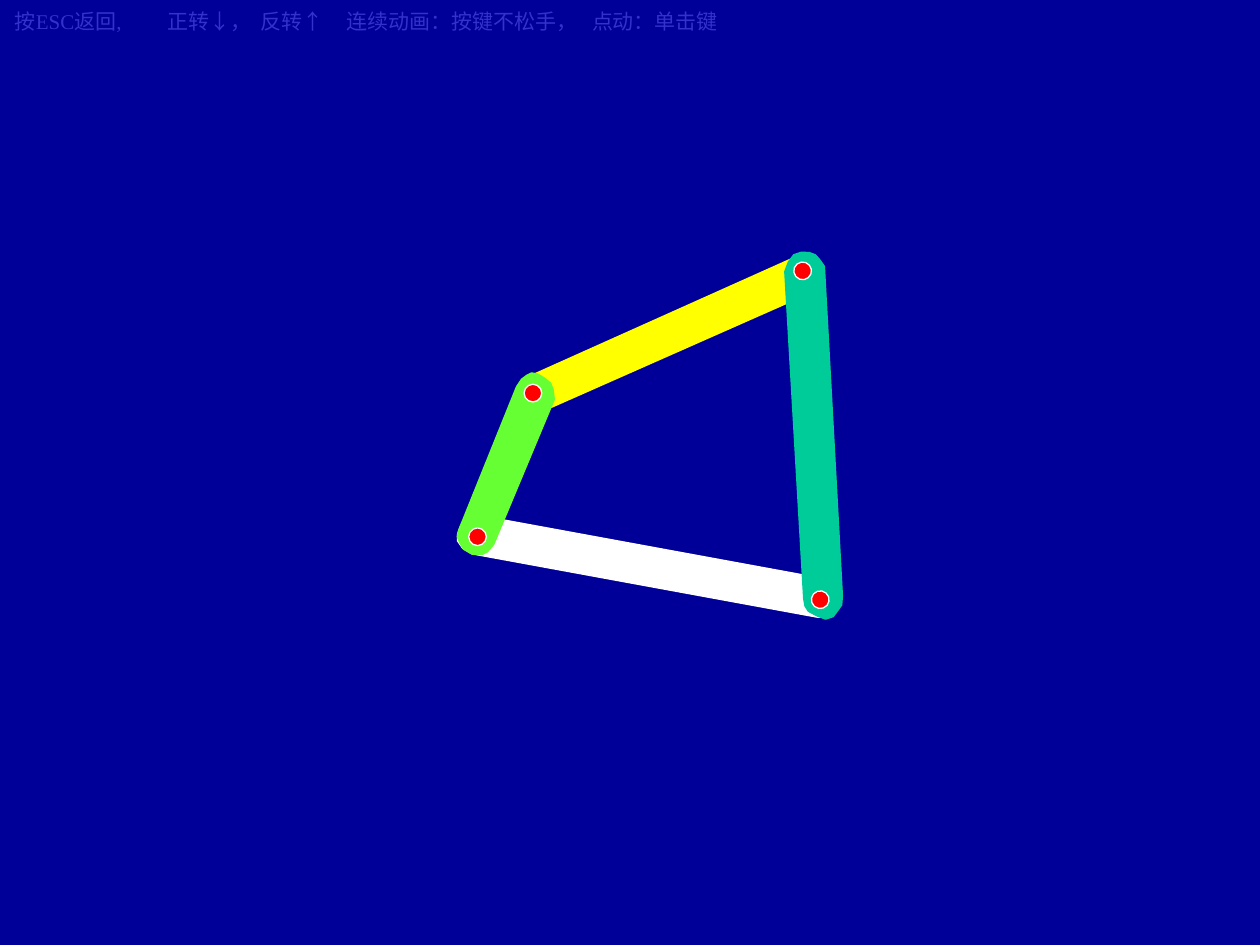
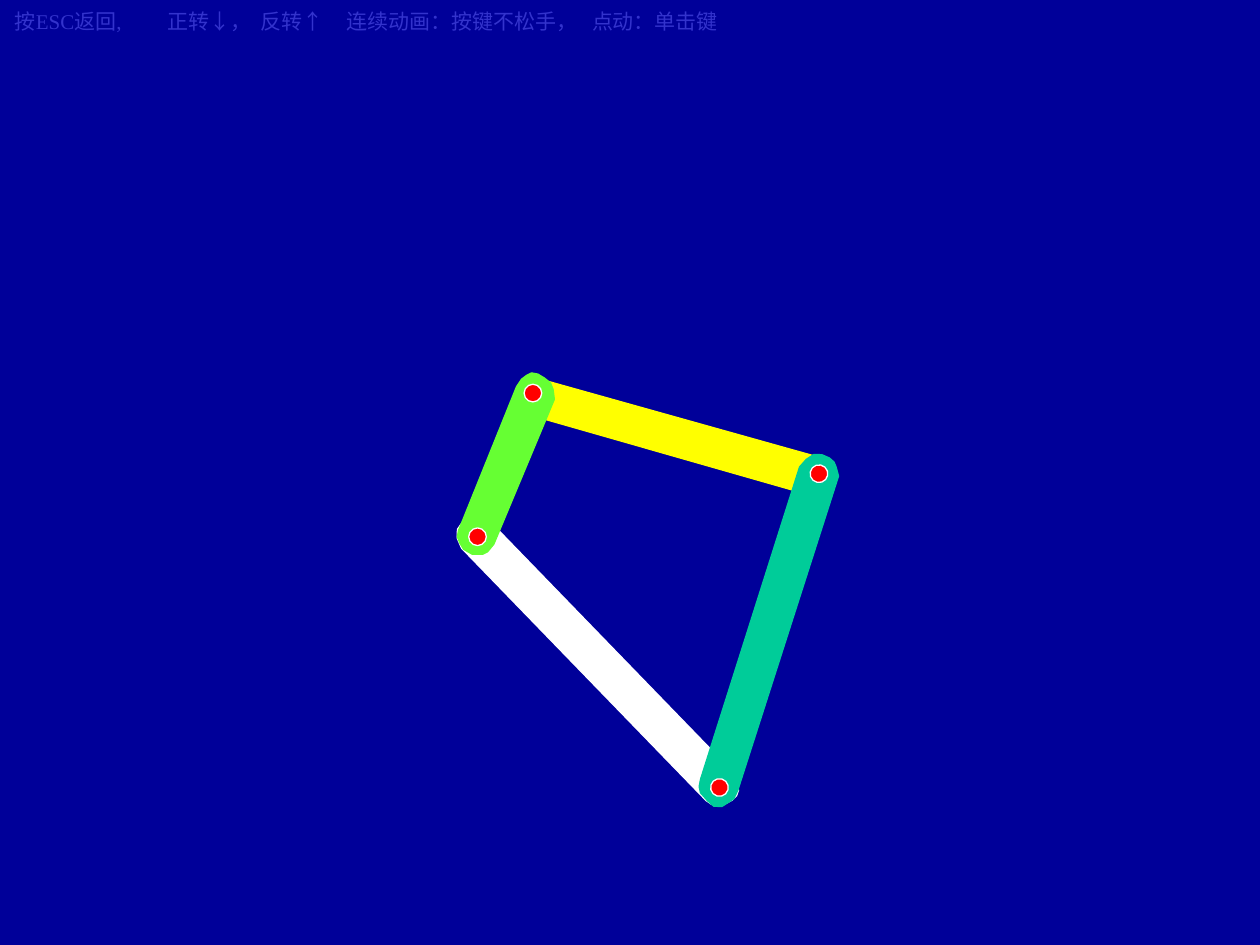
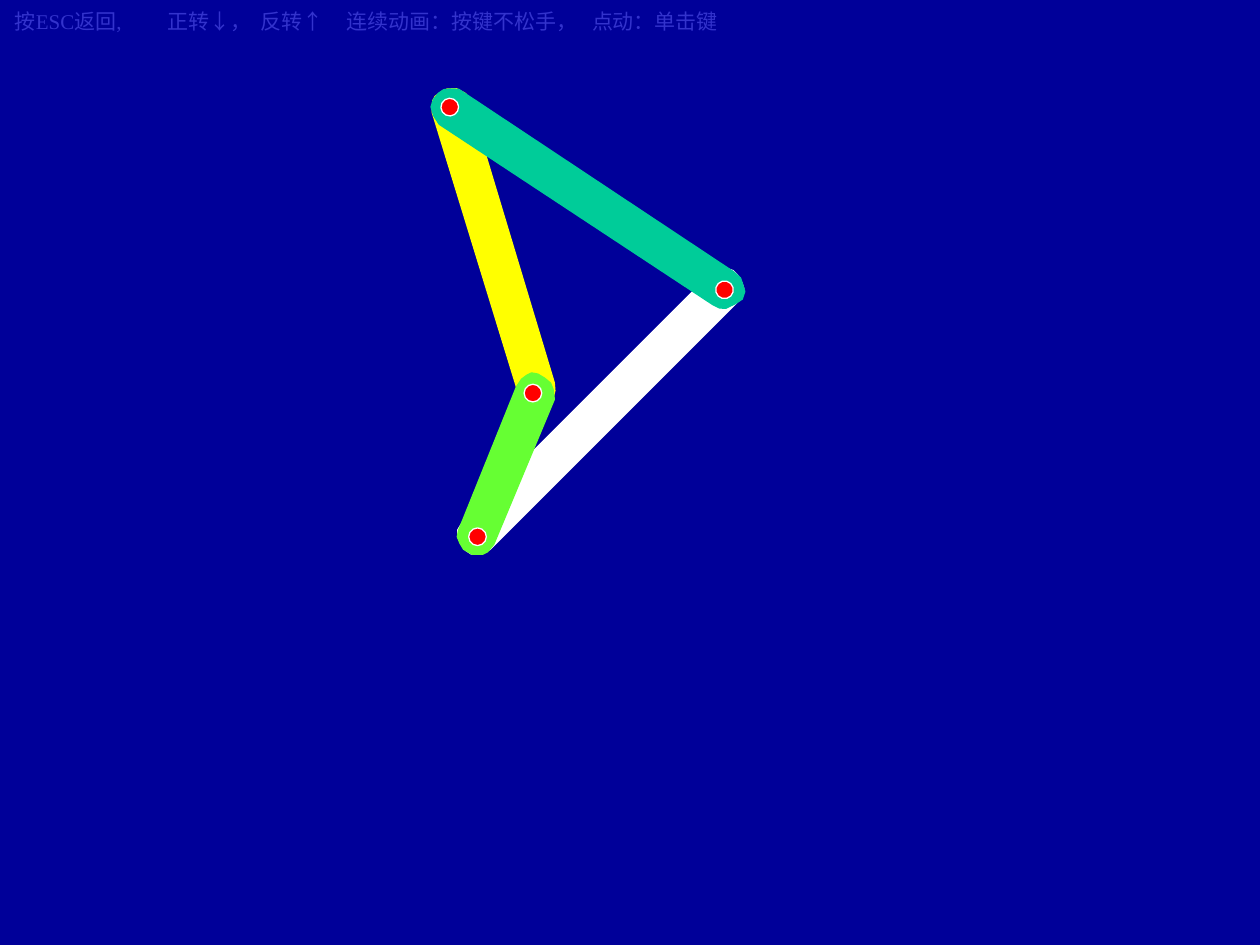
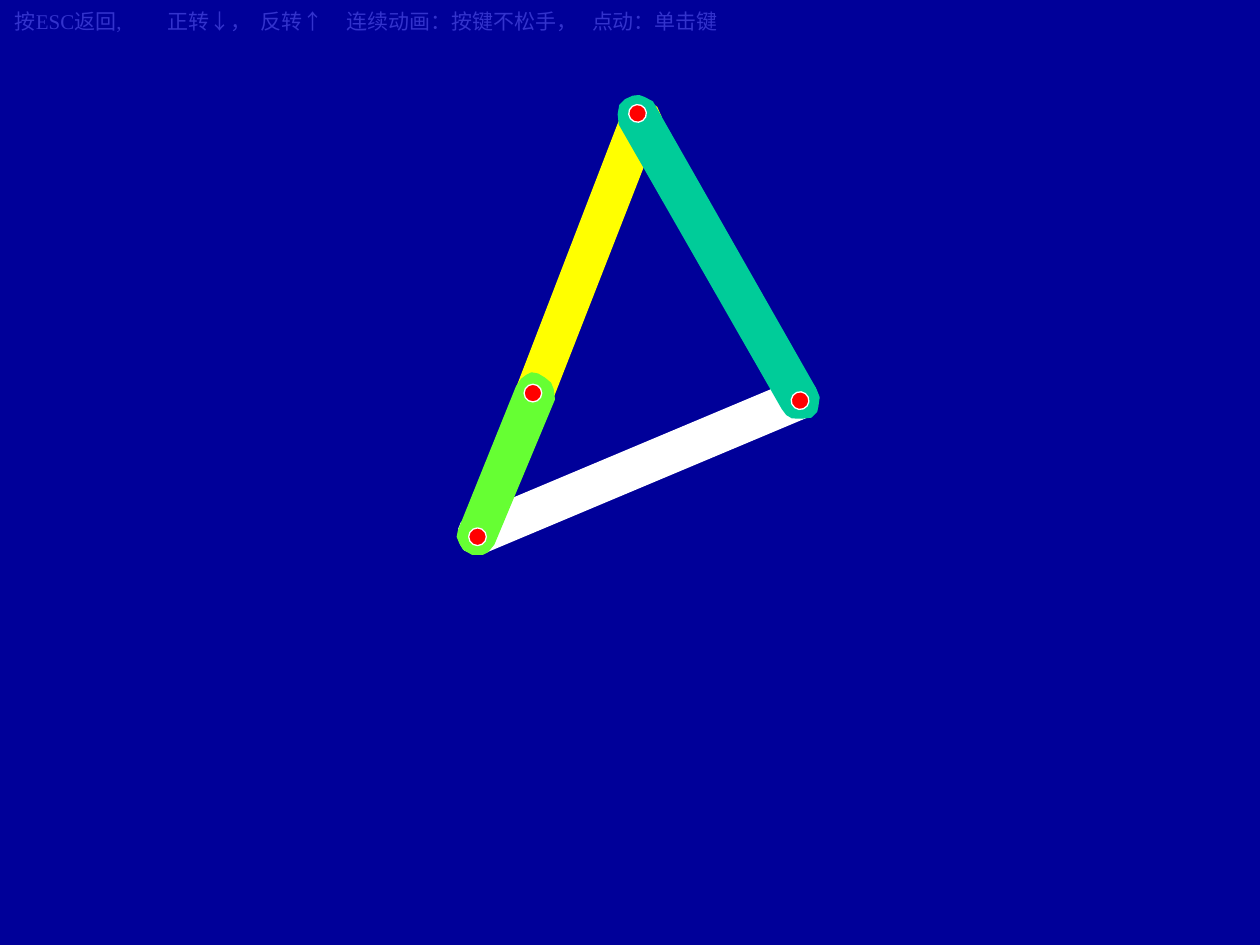
from lxml.etree import SubElement
from pptx import Presentation
from pptx.dml.color import RGBColor
from pptx.enum.shapes import MSO_SHAPE
from pptx.enum.text import MSO_AUTO_SIZE
from pptx.oxml.ns import qn
from pptx.util import Inches, Pt

HUE = {"back": "000099", "hint": "3333CC", "frame": "FFFFFF", "link": "FFFF00",
       "rocker": "00CC99", "crank": "66FF33", "pin": "FF0000", "rim": "FFFFFF"}
FONT = "Times New Roman"
PIN = 0.14

BARS = {
    "frame": [(0.15, 0), (2.9, 0), (2.96, 0.02), (3, 0.03), (3.05, 0.07), (3.07, 0.11),
              (3.07, 0.16), (3.05, 0.23), (3.03, 0.27), (2.98, 0.3), (2.93, 0.31),
              (0.14, 0.31), (0.06, 0.28), (0.01, 0.23), (0, 0.18), (0.01, 0.12),
              (0.03, 0.06), (0.07, 0.02)],
    "link": [(0.07, 1.22), (2.08, 0.02), (2.17, 0), (2.21, 0.01), (2.27, 0.06),
             (2.29, 0.09), (2.31, 0.16), (2.29, 0.24), (2.23, 0.29), (0.23, 1.47),
             (0.17, 1.49), (0.12, 1.49), (0.07, 1.46), (0.02, 1.41), (0, 1.34),
             (0.02, 1.26)],
    "rocker": [(1.05, 2.59), (0, 0.21), (0, 0.17), (0, 0.13), (0.02, 0.06), (0.07, 0.02),
               (0.13, 0), (0.18, 0), (0.22, 0.02), (0.28, 0.06), (1.33, 2.46),
               (1.35, 2.53), (1.34, 2.57), (1.32, 2.64), (1.27, 2.68), (1.2, 2.68),
               (1.12, 2.67), (1.08, 2.64)],
    "crank": [(0.01, 1.25), (0.47, 0.11), (0.51, 0.05), (0.55, 0.02), (0.59, 0),
              (0.64, 0.01), (0.69, 0.04), (0.74, 0.08), (0.76, 0.13), (0.77, 0.21),
              (0.29, 1.36), (0.24, 1.42), (0.2, 1.44), (0.12, 1.44), (0.05, 1.4),
              (0.02, 1.35), (0, 1.3)],
}

POSES = [
    {"frame": (3.61, 4.34, 10.4), "link": (4.17, 1.9, 6.7), "rocker": (5.79, 2.11, 20.5),
     "pins": [(6.3, 2.08, 20.5), (6.44, 4.69, 10.4)]},
    {"frame": (3.21, 5.09, 45.9), "link": (4.21, 2.72, 46.5), "rocker": (5.43, 3.66, 41.4),
     "pins": [(6.43, 3.69, 41.4), (5.64, 6.18, 45.9)]},
    {"frame": (3.23, 3.11, 315), "link": (2.76, 1.22, 283.8), "rocker": (3.99, 0.23, 327.2),
     "pins": [(3.5, 0.78, 327.2), (5.68, 2.23, 315)]},
    {"frame": (3.53, 3.55, 337.2), "link": (3.51, 1.28, 321.9), "rocker": (5.03, 0.7, 354),
     "pins": [(4.99, 0.83, 354), (6.28, 3.11, 337.2)]},
]
CRANK = (3.63, 2.96, 0)
PIVOTS = [(3.72, 4.19, 0), (4.16, 3.05, 0)]

HINT = "按ESC返回,\t正转↓，\t反转↑\t连续动画：按键不松手，\t点动：单击键"
STOPS = [1.21, 1.95, 2.63, 4.58]


def paint(shape, fill, line, turn):
    shape.shadow.inherit = False
    shape.fill.solid()
    shape.fill.fore_color.rgb = RGBColor.from_string(HUE[fill])
    shape.line.color.rgb = RGBColor.from_string(HUE[line])
    shape.line.width = Pt(0.75)
    shape.rotation = turn


def draw(shapes, bars, pins):
    for name, (left, top, turn) in bars.items():
        dots = [(Inches(x), Inches(y)) for x, y in BARS[name]]
        pen = shapes.build_freeform(*dots[0])
        pen.add_line_segments(dots[1:], close=True)
        paint(pen.convert_to_shape(Inches(left), Inches(top)), name, name, turn)
    for left, top, turn in pins:
        pin = shapes.add_shape(MSO_SHAPE.OVAL, Inches(left), Inches(top),
                               Inches(PIN), Inches(PIN))
        paint(pin, "pin", "rim", turn)


deck = Presentation()
deck.slide_width = Inches(10)
deck.slide_height = Inches(7.5)

for pose in POSES:
    slide = deck.slides.add_slide(deck.slide_layouts[6])
    slide.background.fill.solid()
    slide.background.fill.fore_color.rgb = RGBColor.from_string(HUE["back"])

    draw(slide.shapes, {name: pose[name] for name in ("frame", "link", "rocker")},
         pose["pins"])
    group = slide.shapes.add_group_shape()
    draw(group.shapes, {"crank": CRANK}, PIVOTS)

    box = slide.shapes.add_textbox(Inches(0.02), Inches(0.02), Inches(6.49), Inches(0.3))
    frame = box.text_frame
    frame.word_wrap = True
    frame.auto_size = MSO_AUTO_SIZE.SHAPE_TO_FIT_TEXT
    para = frame.paragraphs[0]
    tabs = SubElement(para._p.get_or_add_pPr(), qn("a:tabLst"))
    for stop in STOPS:
        SubElement(tabs, qn("a:tab"), pos=str(Inches(stop)), algn="l")
    run = para.add_run()
    run.text = HINT
    run.font.name = FONT
    run.font.size = Pt(12)
    run.font.color.rgb = RGBColor.from_string(HUE["hint"])

deck.save("out.pptx")
